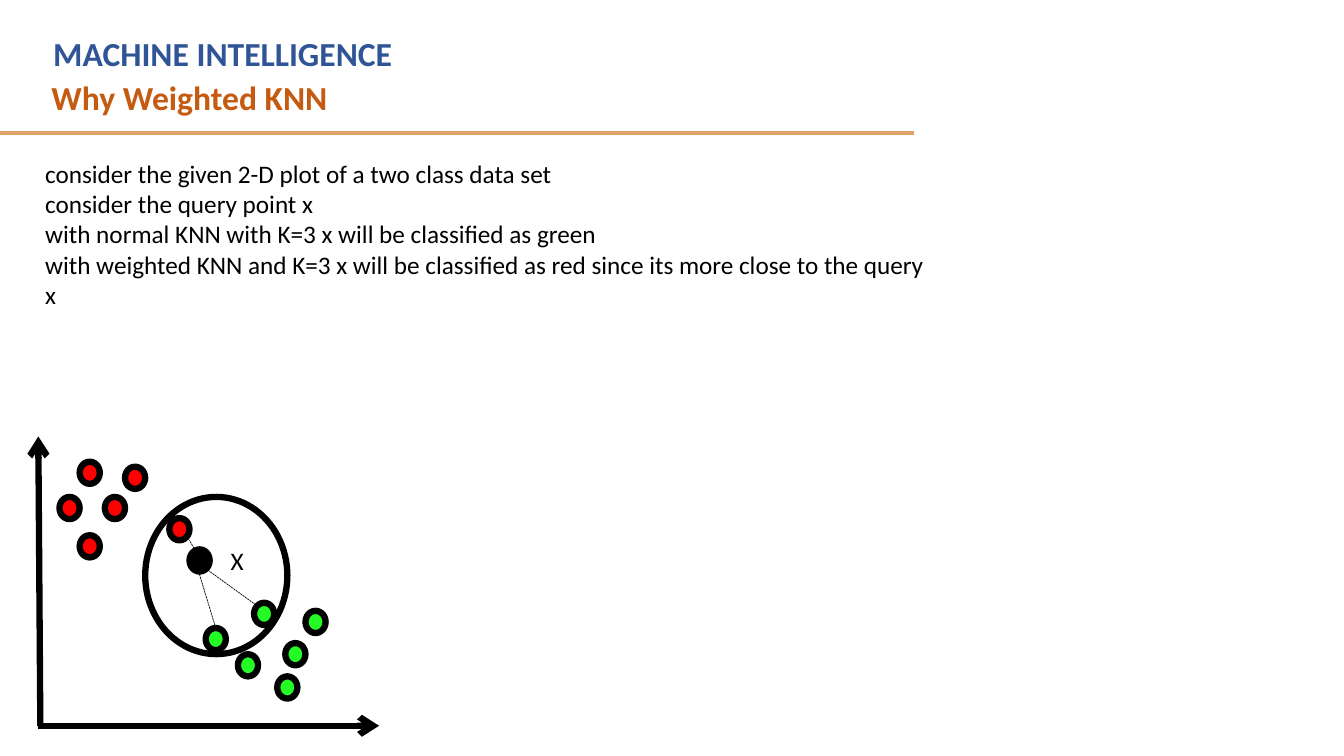
import pptx
import pptx.util
import pptx.dml.color
import pptx.enum.dml
import pptx.enum.shapes
import pptx.enum.text
from lxml import etree
from pptx.util import Inches

HUES = {"rule": "DFA267", "head": "C55A11", "course": "2F5597",
        "ink": "000000", "red": "FF0000", "green": "24FA24"}
NS = "http://schemas.openxmlformats.org/drawingml/2006/main"
SIZE = (0.2, 0.22)


def write(box, at, lines, hue, size, bold=False):
    """Place a text box and fill it with one paragraph per line."""
    for name, value in zip(("left", "top", "width", "height"), at):
        setattr(box, name, Inches(value))
    frame = box.text_frame
    form = {"word_wrap": True, "auto_size": pptx.enum.text.MSO_AUTO_SIZE.NONE,
            "vertical_anchor": pptx.enum.text.MSO_ANCHOR.TOP}
    for name, value in form.items():
        setattr(frame, name, value)
    frame.text = "\n".join(lines)
    style = {"name": "Calibri", "size": pptx.util.Pt(size), "bold": bold}
    for para in frame.paragraphs:
        para.alignment = pptx.enum.text.PP_ALIGN.LEFT
        for name, value in style.items():
            setattr(para.font, name, value)
        para.font.color.rgb = pptx.dml.color.RGBColor.from_string(HUES[hue])


def link(start, end, hue, width, dash=None, arrow=False):
    """Draw a straight line, with an arrowhead at its end if wanted."""
    line = shapes.add_connector(pptx.enum.shapes.MSO_CONNECTOR.STRAIGHT,
                                *map(Inches, start + end))
    line.line.color.rgb = pptx.dml.color.RGBColor.from_string(HUES[hue])
    line.line.width = pptx.util.Pt(width)
    if dash:
        line.line.dash_style = dash
    if arrow:
        etree.SubElement(line.line._get_or_add_ln(), f"{{{NS}}}tailEnd", type="arrow")
    etree.SubElement(line._element.spPr, f"{{{NS}}}effectLst")


deck = pptx.Presentation()
deck.slide_width, deck.slide_height = Inches(13.33), Inches(7.5)
slide = deck.slides.add_slide(deck.slide_layouts[5])
shapes = slide.shapes

# Heading
link((0, 1.32), (9.07, 1.32), "rule", 3)
write(shapes.title, (0.41, 0.71, 8.75, 0.5), ["Why Weighted KNN"], "head", 24, True)
write(shapes.add_textbox(0, 0, 0, 0), (0.43, 0.28, 8.2, 0.5),
      ["MACHINE INTELLIGENCE"], "course", 24, True)

# Axes
link((0.4, 7.2), (0.38, 4.33), "ink", 4.5, arrow=True)
link((0.38, 7.2), (3.76, 7.2), "ink", 4.5, arrow=True)

write(shapes.add_textbox(0, 0, 0, 0), (0.35, 1.52, 9, 1.31), [
    "consider the given 2-D plot of a two class data set",
    "consider the query point x",
    "with normal KNN with K=3 x will be classified as green",
    "with weighted KNN and K=3 x will be classified as red since its more close to the query x",
], "ink", 18)

# Data points, the query point and the circle around its neighbours
spots = {
    "red": [(0.79, 4.58), (0.59, 4.93), (1.24, 4.63), (1.04, 4.93), (0.79, 5.31), (1.68, 5.14)],
    "ink": [(1.88, 5.45)],
    "green": [(2.04, 6.23), (2.52, 5.98), (2.36, 6.49), (2.83, 6.38), (3.03, 6.06), (2.75, 6.71)],
}
rings = [(spot + SIZE, hue) for hue, group in spots.items() for spot in group]
rings.append(((1.44, 4.93, 1.41, 1.56), None))
for at, hue in rings:
    ring = shapes.add_shape(pptx.enum.shapes.MSO_SHAPE.OVAL, *map(Inches, at))
    ring.shadow.inherit = False
    if hue:
        ring.fill.solid()
        ring.fill.fore_color.rgb = pptx.dml.color.RGBColor.from_string(HUES[hue])
    else:
        ring.fill.background()
    ring.line.color.rgb = pptx.dml.color.RGBColor.from_string(HUES["ink"])
    ring.line.width = pptx.util.Pt(4.5)

write(shapes.add_textbox(0, 0, 0, 0), (2.19, 5.36, 0.33, 0.4), ["X"], "ink", 18)

# Distances from the query point to its three neighbours
for start, end in [((1.95, 5.49), (1.88, 5.36)),
                   ((1.97, 5.67), (2.14, 6.23)),
                   ((2.04, 5.64), (2.55, 6.01))]:
    link(start, end, "ink", 0.5, pptx.enum.dml.MSO_LINE.SQUARE_DOT)

deck.save("out.pptx")
